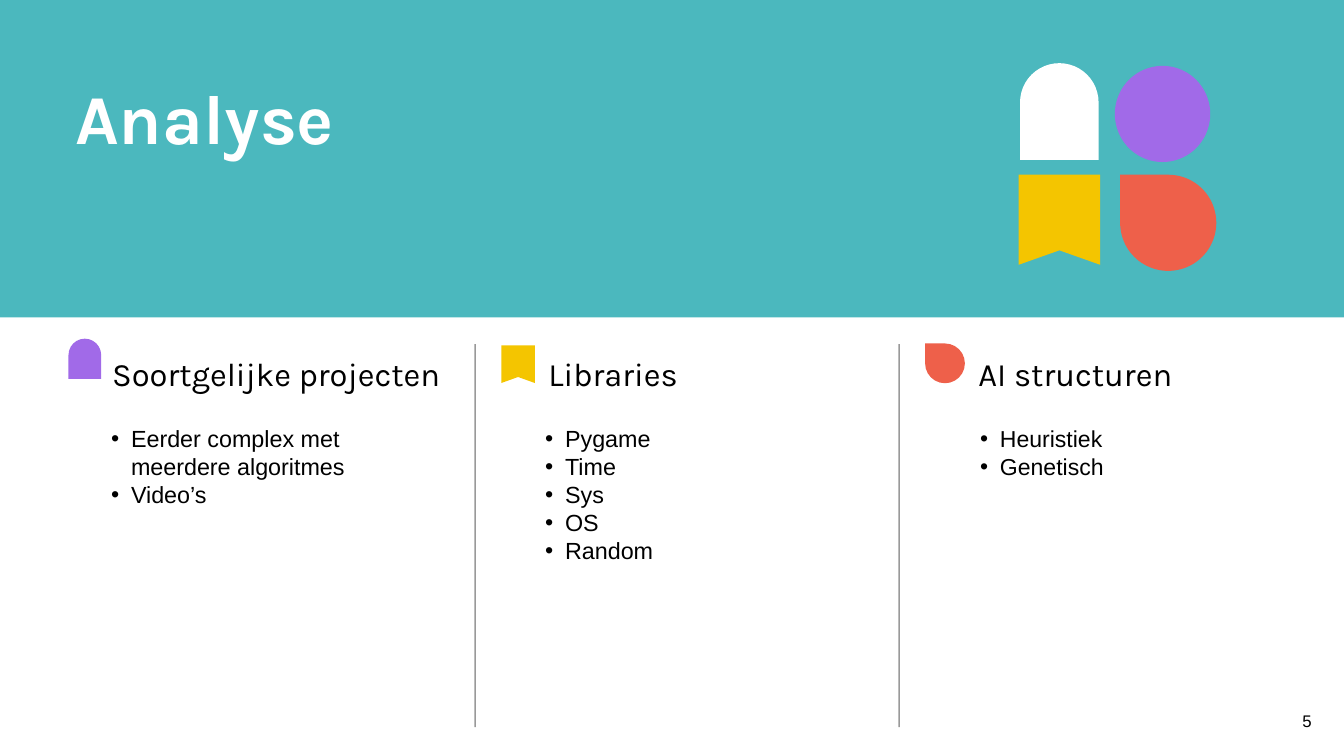
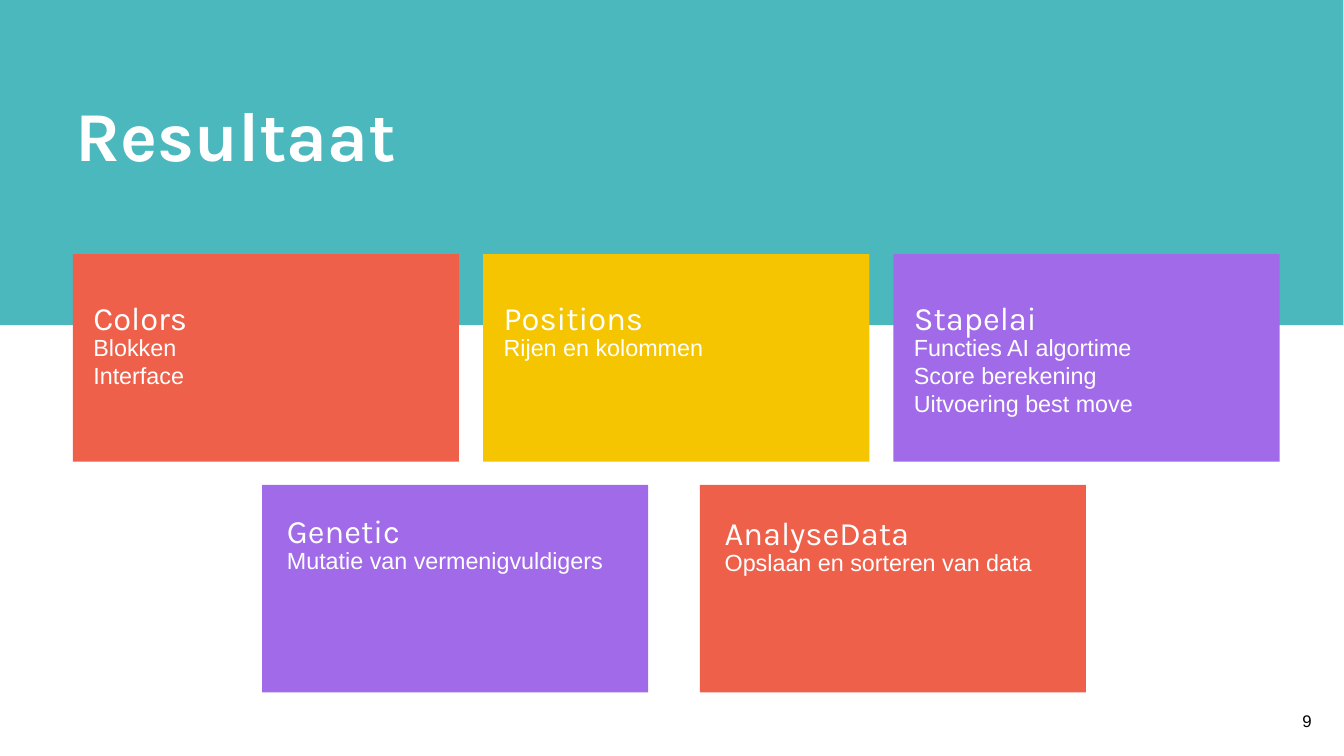
from dataclasses import dataclass

from lxml.etree import SubElement
from pptx import Presentation
from pptx.dml.color import RGBColor
from pptx.enum.shapes import MSO_CONNECTOR as Connector, MSO_SHAPE as Shape
from pptx.enum.text import MSO_AUTO_SIZE as AutoSize, PP_ALIGN as Align
from pptx.oxml.ns import qn
from pptx.util import Pt


@dataclass(frozen=True)
class Theme:
    """Colours, fonts and type sizes of the deck."""
    teal: str = "4BB8BE"
    white: str = "FFFFFF"
    black: str = "000000"
    yellow: str = "F4C500"
    purple: str = "A16AE8"
    red: str = "EE604A"
    display: str = "Karla"
    text: str = "Arial"
    title_size: float = 75
    heading_size: float = 35
    body_size: float = 25
    number_size: float = 18


@dataclass(frozen=True)
class Box:
    """A region of the page, in points."""
    left: float
    top: float
    width: float
    height: float

    def inner(self, dx, dy, width, height):
        """Return a box placed relative to this one."""
        return Box(self.left + dx, self.top + dy, width, height)

    def lengths(self):
        """Return left, top, width and height as lengths."""
        return Pt(self.left), Pt(self.top), Pt(self.width), Pt(self.height)


THEME = Theme()
PAGE = Box(0, 0, 1440, 810)


def paint(shape, color):
    """Give a shape a plain fill without line or shadow."""
    shape.shadow.inherit = False
    shape.fill.solid()
    shape.fill.fore_color.rgb = RGBColor.from_string(color)
    shape.line.fill.background()


def add_block(page, box, color, kind=Shape.RECTANGLE):
    """Add a filled preset shape."""
    shape = page.shapes.add_shape(kind, *box.lengths())
    paint(shape, color)
    return shape


def add_arch(page, box, color):
    """Add a block with a round top."""
    arch = add_block(page, box, color, Shape.ROUND_2_SAME_RECTANGLE)
    arch.adjustments[0] = 0.5


def add_circle(page, box, color):
    """Add a disc."""
    add_block(page, box, color, Shape.OVAL)


def add_drop(page, box, color):
    """Add a teardrop with its corner at the top left."""
    add_block(page, box, color, Shape.TEAR).rotation = 270


def add_ribbon(page, box, color):
    """Add a ribbon with a notch in its lower edge."""
    corners = [(1, 0), (1, 1), (0.5, 0.84), (0, 1)]
    builder = page.shapes.build_freeform(Pt(box.left), Pt(box.top))
    builder.add_line_segments(
        [(Pt(box.left + x * box.width), Pt(box.top + y * box.height))
         for x, y in corners], close=True)
    paint(builder.convert_to_shape(), color)


def add_text(page, box, lines, font, size, color, bold=False, spacing=None):
    """Add a text box without insets, one paragraph a line."""
    label = page.shapes.add_textbox(*box.lengths())
    frame = label.text_frame
    frame.text = "\n".join(lines)
    frame.word_wrap = True
    frame.auto_size = AutoSize.SHAPE_TO_FIT_TEXT
    frame.margin_left = frame.margin_right = Pt(0)
    frame.margin_top = frame.margin_bottom = Pt(0)
    for para in frame.paragraphs:
        if spacing:
            para.line_spacing = spacing
        for span in para.runs:
            span.font.name = font
            span.font.size = Pt(size)
            span.font.bold = bold
            span.font.color.rgb = RGBColor.from_string(color)
    return frame


def add_bullets(page, box, lines, size):
    """Add a bulleted list with a hanging indent."""
    frame = add_text(page, box, lines, THEME.text, size, THEME.black)
    for para in frame.paragraphs:
        para.level = 1
        props = para._p.get_or_add_pPr()
        props.set("marL", str(Pt(42.5)))
        props.set("indent", str(Pt(-21.25)))
        color = SubElement(props, qn("a:buClr"))
        SubElement(color, qn("a:srgbClr"), val=THEME.black)
        SubElement(props, qn("a:buFont"), typeface=THEME.text)
        SubElement(props, qn("a:buChar"), char="•")


def add_divider(page, left, top, bottom):
    """Add a thin translucent vertical line."""
    divider = page.shapes.add_connector(
        Connector.STRAIGHT, Pt(left), Pt(top), Pt(left), Pt(bottom))
    divider.line.width = Pt(1.5)
    divider.line.color.rgb = RGBColor.from_string(THEME.black)
    props = divider._element.spPr
    SubElement(props.find(".//" + qn("a:srgbClr")), qn("a:alpha"), val="40000")
    SubElement(props, qn("a:effectLst"))


def add_page(deck, background, band, band_color, title, spacing=None):
    """Start a page with its background, band and title."""
    page = deck.slides.add_slide(deck.slide_layouts[6])
    page.background.fill.solid()
    page.background.fill.fore_color.rgb = RGBColor.from_string(background)
    add_block(page, band, band_color)
    add_text(page, PAGE.inner(80.6, 80, 894, 90), [title], THEME.display,
             THEME.title_size, THEME.white, True, spacing)
    return page


def add_number(page, number):
    """Add the page number at the lower right."""
    frame = add_text(page, PAGE.inner(1388.2, 758.2, 24.5, 28.8), [number],
                     THEME.text, THEME.number_size, THEME.black)
    frame.word_wrap = False
    frame.margin_left = frame.margin_right = Pt(7.2)
    frame.margin_top = frame.margin_bottom = Pt(3.6)
    frame.paragraphs[0].alignment = Align.CENTER


def add_emblem(page, box):
    """Add the four shapes that decorate the band."""
    add_arch(page, box.inner(1.4, 0, 84.2, 103.7), THEME.white)
    add_ribbon(page, box.inner(0, 119.5, 87.1, 96.5), THEME.yellow)
    add_circle(page, box.inner(103, 2.9, 102.2, 103), THEME.purple)
    add_drop(page, box.inner(108.7, 119.5, 103, 103), THEME.red)


def add_column(page, box, heading, heading_dx, heading_width, lines,
               size=THEME.body_size):
    """Add a heading over a bulleted list."""
    add_text(page, box.inner(heading_dx, 0, heading_width, 55.4), [heading],
             THEME.display, THEME.heading_size, THEME.black, spacing=1.3)
    add_bullets(page, box.inner(0, 88.5, box.width, 151), lines, size)


def add_card(page, box, color, heading, lines, inset):
    """Add a coloured card with a heading and lines of text."""
    dx, dy = inset
    add_block(page, box, color)
    add_text(page, box.inner(dx, dy, 360.7, 51), [heading], THEME.display,
             THEME.heading_size, THEME.white, spacing=1.2)
    add_text(page, box.inner(dx, dy + 46.8, 360.7, 30 * len(lines)), lines,
             THEME.text, THEME.body_size, THEME.white)


def build_analysis(deck):
    """Build the page with three columns."""
    page = add_page(deck, THEME.teal, PAGE.inner(0, 340, 1440, 470),
                    THEME.white, "Analyse")
    for left in (509, 963.4):
        add_divider(page, left, 368.6, 779)
    add_emblem(page, PAGE.inner(1091.5, 67.7, 212, 223))
    add_column(page, PAGE.inner(97.9, 366.5, 357.1, 240),
               "Soortgelijke projecten", 22.3, 371,
               ["Eerder complex met meerdere algoritmes", "Video’s"])
    add_column(page, PAGE.inner(563, 366.5, 368, 240), "Libraries", 24.5, 188,
               ["Pygame", "Time", "Sys", "OS", "Random"])
    add_column(page, PAGE.inner(1028.9, 366.5, 314.6, 240), "AI structuren",
               19.4, 248, ["Heuristiek", "Genetisch"], 24.7)
    add_arch(page, PAGE.inner(73.4, 362.9, 35, 43.2), THEME.purple)
    add_ribbon(page, PAGE.inner(537.1, 370.1, 36, 40.3), THEME.yellow)
    add_drop(page, PAGE.inner(991.2, 368, 42.6, 42.6), THEME.red)
    add_number(page, "5")


def build_result(deck):
    """Build the page with two rows of cards."""
    page = add_page(deck, THEME.white, PAGE.inner(0, 0, 1439.3, 348.5),
                    THEME.teal, "Resultaat", 1.2)
    upper = [
        (THEME.red, "Colors", ["Blokken", "Interface"], (22, 38.2)),
        (THEME.yellow, "Positions", ["Rijen en kolommen"], (22, 38.2)),
        (THEME.purple, "Stapelai",
         ["Functies AI algortime", "Score berekening", "Uitvoering best move"],
         (22, 38.2)),
    ]
    lower = [
        (THEME.purple, "Genetic", ["Mutatie van vermenigvuldigers"],
         (26.6, 19.4)),
        (THEME.red, "AnalyseData", ["Opslaan en sorteren van data"],
         (26.6, 21.6)),
    ]
    rows = [(78, 272.2, 439.6, upper), (280.8, 519.4, 469, lower)]
    for left, top, step, cards in rows:
        for index, card in enumerate(cards):
            box = PAGE.inner(left + index * step, top, 413.8, 222.5)
            add_card(page, box, *card)
    add_number(page, "9")


def main():
    """Build and save the deck."""
    deck = Presentation()
    deck.slide_width = Pt(PAGE.width)
    deck.slide_height = Pt(PAGE.height)
    build_analysis(deck)
    build_result(deck)
    deck.save("out.pptx")


if __name__ == "__main__":
    main()
